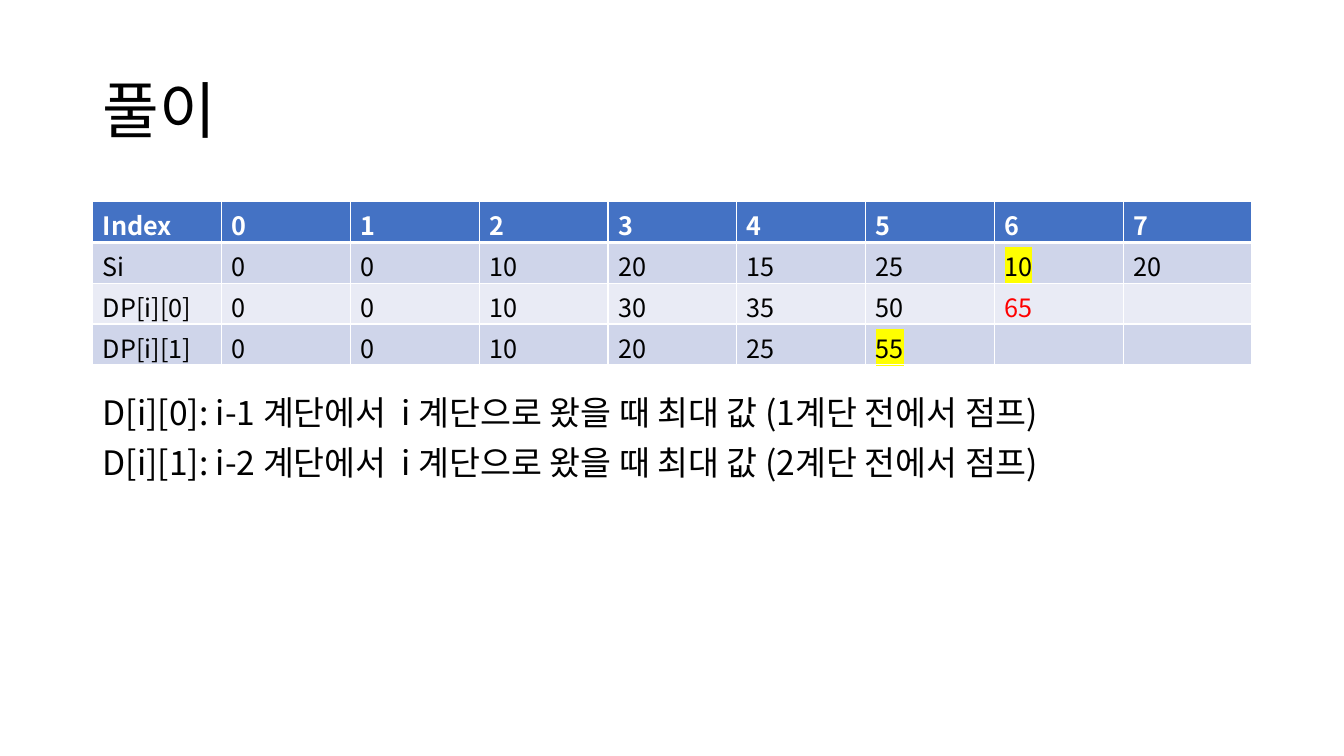
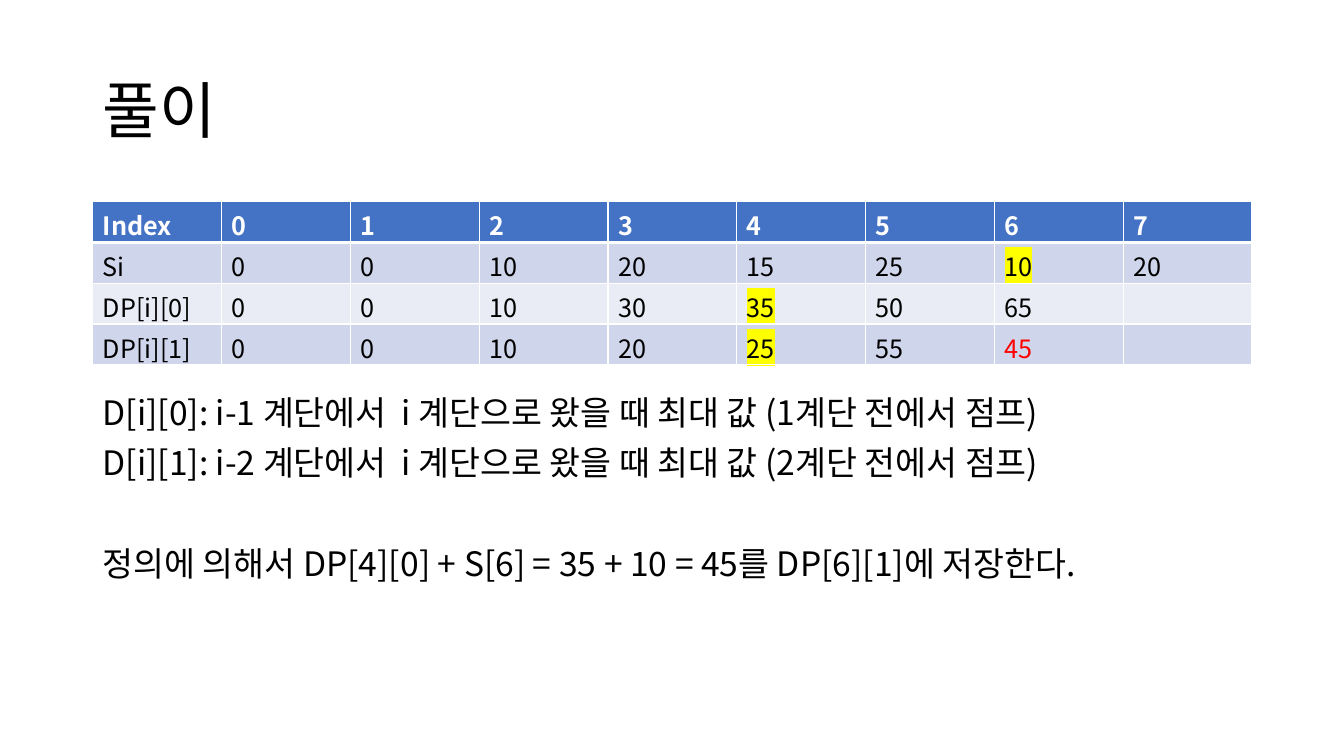
"""Build two slides that step through a stair-climbing dynamic programming table."""
import lxml.etree
import pptx
import pptx.dml.color
import pptx.enum.text
import pptx.oxml
import pptx.oxml.ns
import pptx.util

Inches = pptx.util.Inches
Pt = pptx.util.Pt
qn = pptx.oxml.ns.qn

FONT = "Noto Sans CJK KR"
BLACK, WHITE, RED, YELLOW = "000000", "FFFFFF", "FF0000", "FFFF00"
ROW_FILLS = ["4472C4", "CFD5EA", "E9EBF5", "CFD5EA"]
LEFT, WIDTH = Inches(0.92), Inches(11.5)


def color(hex_value):
    return pptx.dml.color.RGBColor.from_string(hex_value)


def style(paragraph, size, hex_value=BLACK, bold=False):
    for run in paragraph.runs:
        run.font.size = Pt(size)
        run.font.bold = bold
        run.font.color.rgb = color(hex_value)
        run.font.name = FONT
        latin = run.font._element.find(qn("a:latin"))
        east_asian = lxml.etree.Element(qn("a:ea"), typeface=FONT)
        latin.addnext(east_asian)


definitions = [
    "D[i][0]: i-1 계단에서  i 계단으로 왔을 때 최대 값 (1계단 전에서 점프)",
    "D[i][1]: i-2 계단에서  i 계단으로 왔을 때 최대 값 (2계단 전에서 점프)",
]
header = ["Index"] + [str(index) for index in range(8)]
scores = ["Si", "0", "0", "10", "20", "15", "25", "10", "20"]
one_step = ["DP[i][0]", "0", "0", "10", "30", "35", "50", "65", ""]
two_steps = ["DP[i][1]", "0", "0", "10", "20", "25", "55"]

steps = [
    {
        "rows": [header, scores, one_step, two_steps + ["", ""]],
        "sources": {(1, 7), (3, 6)},
        "result": (2, 7),
        "conclusion": [],
    },
    {
        "rows": [header, scores, one_step, two_steps + ["45", ""]],
        "sources": {(1, 7), (2, 5), (3, 5)},
        "result": (3, 7),
        "conclusion": ["정의에 의해서 DP[4][0] + S[6] = 35 + 10 = 45를 DP[6][1]에 저장한다."],
    },
]

deck = pptx.Presentation()
deck.slide_width, deck.slide_height = Inches(13.33), Inches(7.5)

for step in steps:
    slide = deck.slides.add_slide(deck.slide_layouts[6])

    title = slide.shapes.add_textbox(LEFT, Inches(0.4), WIDTH, Inches(1.45)).text_frame
    title.word_wrap = True
    title.vertical_anchor = pptx.enum.text.MSO_ANCHOR.MIDDLE
    title.text = "풀이"
    title.paragraphs[0].line_spacing = 0.9
    style(title.paragraphs[0], 44)

    explanation = slide.shapes.add_textbox(LEFT, Inches(3.88), WIDTH, Inches(2.87)).text_frame
    explanation.word_wrap = True
    explanation.text = "\n".join(definitions + step["conclusion"])
    for number, paragraph in enumerate(explanation.paragraphs):
        paragraph.line_spacing = 0.9
        paragraph.space_before = Pt(10 if number < len(definitions) else 46)
        style(paragraph, 24)

    rows = step["rows"]
    table = slide.shapes.add_table(
        len(rows), len(header), LEFT, Inches(2), WIDTH, Inches(1.62)
    ).table
    for row_number, values in enumerate(rows):
        is_header = row_number == 0
        for column_number, value in enumerate(values):
            position = (row_number, column_number)
            cell = table.cell(*position)
            cell.text = value
            cell.fill.solid()
            cell.fill.fore_color.rgb = color(ROW_FILLS[row_number])

            text_color = WHITE if is_header else RED if position == step["result"] else BLACK
            entry = cell.text_frame.paragraphs[0]
            style(entry, 18, text_color, is_header)
            if position in step["sources"]:
                highlight = lxml.etree.Element(qn("a:highlight"))
                lxml.etree.SubElement(highlight, qn("a:srgbClr"), val=YELLOW)
                entry.runs[0].font._element.find(qn("a:latin")).addprevious(highlight)

            thick_side = {0: "B", 1: "T"}.get(row_number)
            for order, side in enumerate("LRTB"):
                width = Pt(3 if side == thick_side else 1)
                border = lxml.etree.Element(qn(f"a:ln{side}"), w=str(width))
                border_fill = lxml.etree.SubElement(border, qn("a:solidFill"))
                lxml.etree.SubElement(border_fill, qn("a:srgbClr"), val=WHITE)
                cell._tc.get_or_add_tcPr().insert(order, border)

deck.save("out.pptx")
